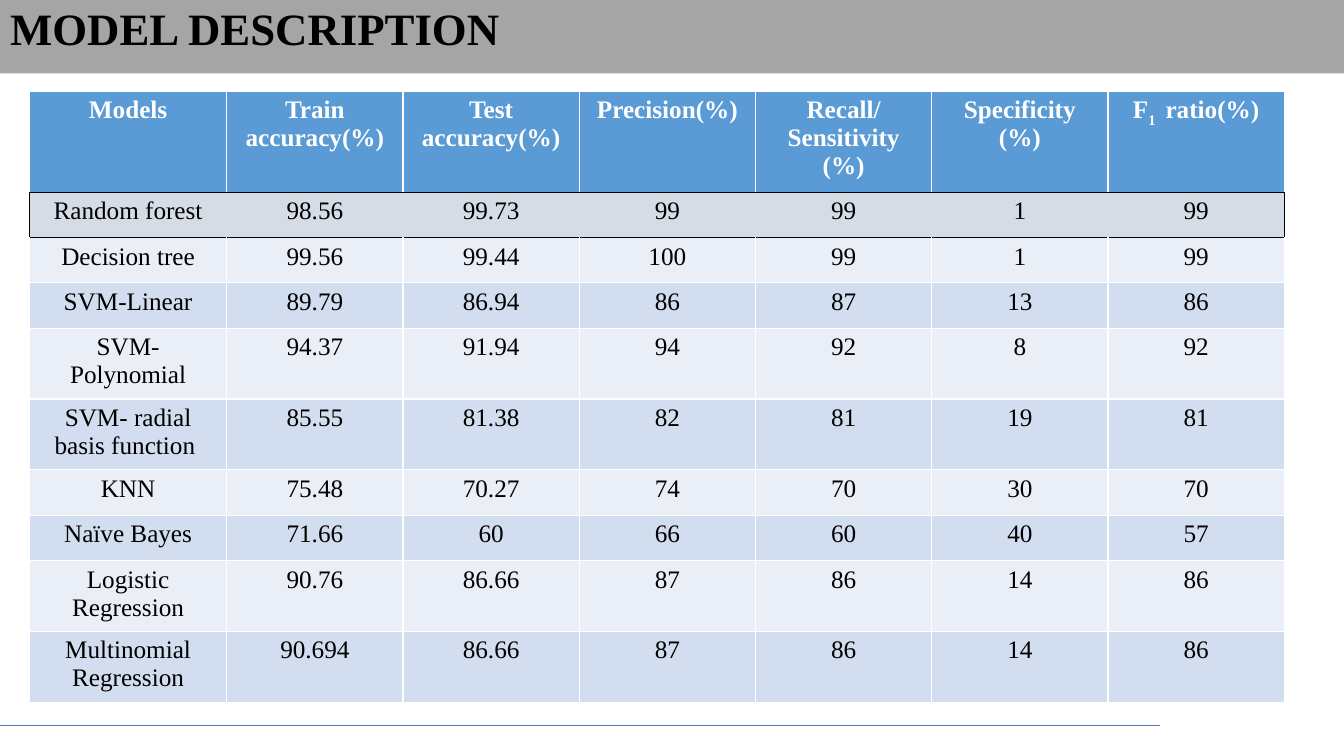
import pptx
import pptx.dml.color
import pptx.enum.shapes
import pptx.enum.text
import pptx.oxml
import pptx.oxml.ns
import pptx.util

Pt = pptx.util.Pt

COLORS = {
    "title_bar": "A5A5A5",
    "header": "5B9BD5",
    "highlight": "D6DCE5",
    "light_band": "EAEFF7",
    "dark_band": "D2DEEF",
    "rule": "4A7DBA",
    "black": "000000",
    "white": "FFFFFF",
}

HEADERS = [
    "Models", "Train accuracy(%)", "Test accuracy(%)", "Precision(%)",
    "Recall/\nSensitivity\n(%)", "Specificity (%)",
    [("F", 0), ("1 ", -25000), (" ratio(%)", 0)],
]
RESULTS = [
    ["Random forest", "98.56", "99.73", "99", "99", "1", "99"],
    ["Decision tree", "99.56", "99.44", "100", "99", "1", "99"],
    ["SVM-Linear", "89.79", "86.94", "86", "87", "13", "86"],
    ["SVM-Polynomial", "94.37", "91.94", "94", "92", "8", "92"],
    ["SVM- radial basis function ", "85.55", "81.38", "82", "81", "19", "81"],
    ["KNN", "75.48", "70.27", "74", "70", "30", "70"],
    ["Naïve Bayes", "71.66", "60", "66", "60", "40", "57"],
    ["Logistic Regression", "90.76", "86.66", "87", "86", "14", "86"],
    ["Multinomial Regression", "90.694", "86.66", "87", "86", "14", "86"],
]
SINGLE, DOUBLE = 32.4, 50.6
ROW_HEIGHTS = [70.8, SINGLE, SINGLE, SINGLE, DOUBLE, DOUBLE,
               SINGLE, SINGLE, DOUBLE, DOUBLE]
COLUMN_WIDTHS = [141] + [125.9] * 6
HIGHLIGHT_ROW = 1


class SlideBuilder:
    def __init__(self, slide, font_name="Times New Roman"):
        self.slide = slide
        self.font_name = font_name

    def color(self, name):
        return pptx.dml.color.RGBColor.from_string(COLORS[name])

    def add_run(self, paragraph, text, size, color, bold=False, baseline=0):
        run = paragraph.add_run()
        run.text = text
        run.font.name = self.font_name
        run.font.size = Pt(size)
        run.font.bold = bold
        run.font.color.rgb = self.color(color)
        if baseline:
            run.font._element.set("baseline", str(baseline))

    def title(self, text, left, top, width, height):
        shape = self.slide.shapes.title
        shape.left, shape.top = Pt(left), Pt(top)
        shape.width, shape.height = Pt(width), Pt(height)
        shape.fill.solid()
        shape.fill.fore_color.rgb = self.color("title_bar")
        frame = shape.text_frame
        frame.word_wrap = True
        frame.auto_size = pptx.enum.text.MSO_AUTO_SIZE.SHAPE_TO_FIT_TEXT
        frame.vertical_anchor = pptx.enum.text.MSO_ANCHOR.MIDDLE
        paragraph = frame.paragraphs[0]
        paragraph.alignment = pptx.enum.text.PP_ALIGN.LEFT
        paragraph.line_spacing = 0.9
        self.add_run(paragraph, text, 32, "black", bold=True)

    def horizontal_rule(self, left, right, y):
        connector = self.slide.shapes.add_connector(
            pptx.enum.shapes.MSO_CONNECTOR.STRAIGHT, Pt(left), Pt(y), Pt(right), Pt(y))
        connector.line.color.rgb = self.color("rule")
        connector.line.width = Pt(0.75)
        effects = pptx.oxml.parse_xml(
            f'<a:effectLst {pptx.oxml.ns.nsdecls("a")}/>')
        connector._element.spPr.append(effects)

    def border(self, cell, side, color):
        """Draw one cell side (L, R, T or B); a color of None hides it."""
        fill = (f'<a:solidFill><a:srgbClr val="{COLORS[color]}"/></a:solidFill>'
                if color else "<a:noFill/>")
        cell._tc.get_or_add_tcPr().append(pptx.oxml.parse_xml(
            f'<a:ln{side} {pptx.oxml.ns.nsdecls("a")} w="{Pt(1)}">{fill}</a:ln{side}>'))

    def cell(self, cell, content, fill, borders, color, bold):
        # The schema wants borders ahead of the fill.
        for side, border_color in borders.items():
            self.border(cell, side, border_color)
        cell.fill.solid()
        cell.fill.fore_color.rgb = self.color(fill)
        if isinstance(content, str):
            lines = [[(line, 0)] for line in content.split("\n")]
        else:
            lines = [content]
        frame = cell.text_frame
        for index, line in enumerate(lines):
            paragraph = frame.add_paragraph() if index else frame.paragraphs[0]
            paragraph.alignment = pptx.enum.text.PP_ALIGN.CENTER
            for text, baseline in line:
                self.add_run(paragraph, text, 18, color, bold, baseline)

    def table(self, rows, left, top):
        table = self.slide.shapes.add_table(
            len(rows), len(COLUMN_WIDTHS), Pt(left), Pt(top),
            Pt(sum(COLUMN_WIDTHS)), Pt(sum(ROW_HEIGHTS))).table
        for column, width in zip(table.columns, COLUMN_WIDTHS):
            column.width = Pt(width)
        for row, height in zip(table.rows, ROW_HEIGHTS):
            row.height = Pt(height)
        last_column = len(COLUMN_WIDTHS) - 1
        for row_index, row in enumerate(rows):
            is_header = row_index == 0
            if is_header:
                fill = "header"
            elif row_index == HIGHLIGHT_ROW:
                fill = "highlight"
            else:
                fill = "dark_band" if row_index % 2 else "light_band"
            for column_index, content in enumerate(row):
                borders = dict.fromkeys("LRTB", "white")
                if row_index == HIGHLIGHT_ROW:
                    borders = {
                        "L": "black" if column_index == 0 else None,
                        "R": "black" if column_index == last_column else None,
                        "T": "black", "B": "black"}
                elif row_index == HIGHLIGHT_ROW - 1:
                    borders["B"] = "black"
                elif row_index == HIGHLIGHT_ROW + 1:
                    borders["T"] = "black"
                self.cell(table.cell(row_index, column_index), content, fill,
                          borders, "white" if is_header else "black", is_header)


def main():
    presentation = pptx.Presentation()
    presentation.slide_width, presentation.slide_height = Pt(960), Pt(540)
    slide = presentation.slides.add_slide(presentation.slide_layouts[5])
    builder = SlideBuilder(slide)
    builder.title("MODEL DESCRIPTION", 0, 1.2, 960, 42.5)
    builder.horizontal_rule(0, 828.7, 518.4)
    builder.table([HEADERS] + RESULTS, 21, 65.2)
    presentation.save("out.pptx")


if __name__ == "__main__":
    main()
